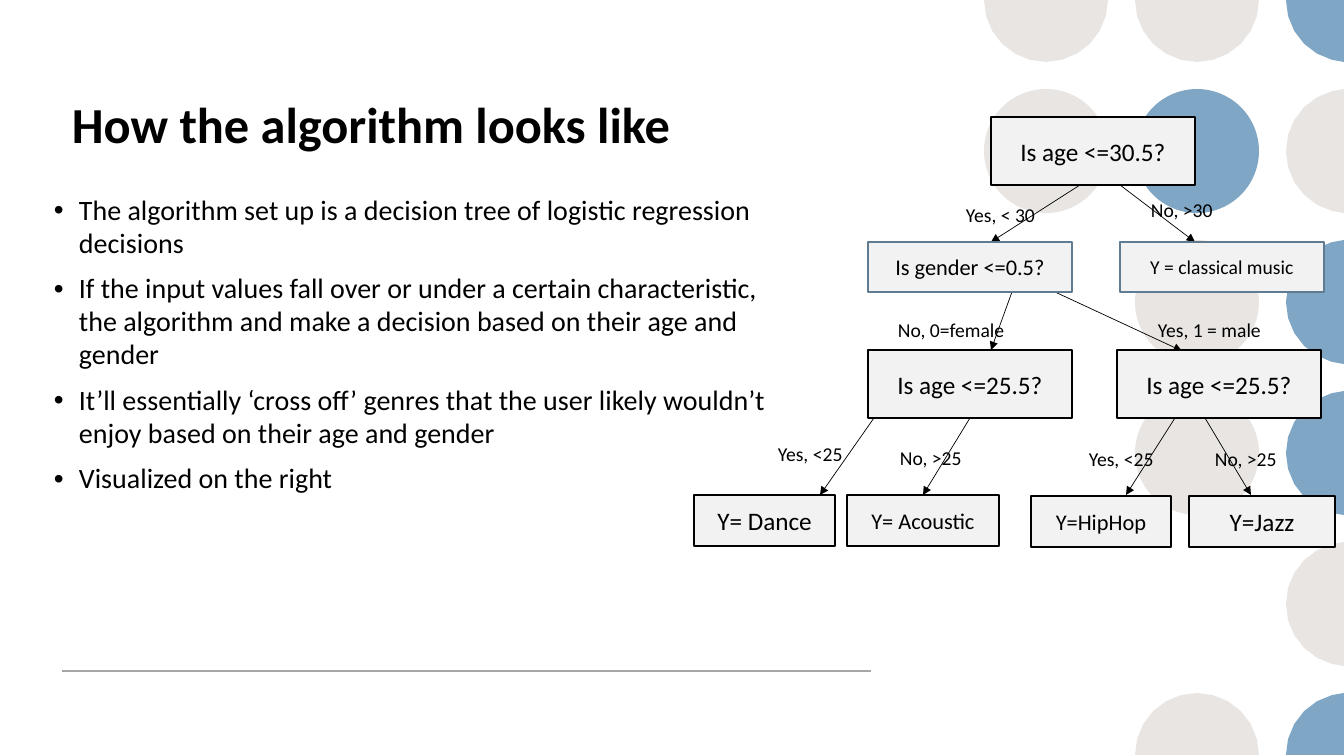
from math import cos, radians, sin

from lxml.etree import SubElement
from pptx import Presentation
from pptx.dml.color import RGBColor
from pptx.enum.shapes import MSO_CONNECTOR, MSO_SHAPE
from pptx.enum.text import MSO_ANCHOR, PP_ALIGN
from pptx.oxml.ns import qn
from pptx.util import Pt

PX = 914400 / 100.8
SLIDE_WIDTH, SLIDE_HEIGHT = 1344, 756
FONT = "Calibri"
BLACK = RGBColor(0x00, 0x00, 0x00)
BOX_FILL = RGBColor(0xF2, 0xF2, 0xF2)
STEEL = RGBColor(0x5E, 0x7B, 0x91)
RULE_GREY = RGBColor(0xA6, 0xA6, 0xA6)
DOT_GREY = RGBColor(0xE8, 0xE5, 0xE2)
DOT_BLUE = RGBColor(0x7F, 0xA6, 0xC4)

DOT_RADIUS = 62
FIRST_DOT = (1046, 0)
DOT_STEP = 151
ARC_STEP = 15
DOT_ROWS = ["GGB", "GBG", " GB", " GB", "  G", " GB"]
DOT_COLORS = {"G": DOT_GREY, "B": DOT_BLUE}

BULLETS = [
    "The algorithm set up is a decision tree of logistic regression decisions",
    "If the input values fall over or under a certain characteristic, "
    "the algorithm and make a decision based on their age and gender",
    "It’ll essentially ‘cross off’ genres that the user likely wouldn’t "
    "enjoy based on their age and gender",
    "Visualized on the right",
]

# text, left, top, width, height, font size, outline
NODES = [
    ("Is age <=30.5?", 991, 117, 204, 68, 18, BLACK),
    ("Is gender <=0.5?", 868, 242, 204, 50, 16, STEEL),
    ("Y = classical music", 1120, 242, 204, 50, 14, STEEL),
    ("Is age <=25.5?", 1117, 350, 204, 68, 18, BLACK),
    ("Is age <=25.5?", 868, 350, 204, 68, 18, BLACK),
    ("Y= Dance", 694, 495, 141, 51, 18, BLACK),
    ("Y= Acoustic", 847, 495, 152, 51, 16, BLACK),
    ("Y=HipHop", 1031, 496, 140, 51, 16, BLACK),
    ("Y=Jazz", 1189, 496, 146, 51, 18, BLACK),
]
LEFT_AGE, ACOUSTIC = 4, 6

# start x, start y, end x, end y
BRANCHES = [
    (1080, 185, 991, 242),
    (1120, 185, 1195, 242),
    (1055, 292, 1182, 351),
    (1012, 292, 991, 350),
    (874, 418, 820, 495),
    (1175, 418, 1126, 495),
    (1205, 418, 1251, 495),
]

# text, left, top, width
LABELS = [
    ("Yes, < 30", 956, 198, 116),
    ("No, >30", 1141, 193, 101),
    ("Yes, 1 = male", 1148, 313, 161),
    ("No, 0=female", 888, 313, 153),
    ("Yes, <25", 768, 437, 101),
    ("No, >25", 890, 441, 101),
    ("Yes, <25", 1079, 442, 101),
    ("No, >25", 1205, 442, 101),
]


def px(*lengths):
    return [round(length * PX) for length in lengths]


def add_dot(slide, center_x, center_y, color):
    """Draw a circle, or the half or quarter of it that fits on the slide."""
    cut_top = center_y < DOT_RADIUS
    cut_bottom = center_y + DOT_RADIUS > SLIDE_HEIGHT
    cut_right = center_x + DOT_RADIUS > SLIDE_WIDTH
    if cut_top or cut_bottom or cut_right:
        start = max(90 if cut_right else 0, 180 if cut_bottom else 0)
        end = min(270 if cut_right else 360, 180 if cut_top else 360)
        center = px(min(center_x, SLIDE_WIDTH), center_y)
        arc = []
        for degrees in range(start, end + 1, ARC_STEP):
            x = center_x + DOT_RADIUS * cos(radians(degrees))
            y = center_y + DOT_RADIUS * sin(radians(degrees))
            arc.append(px(min(x, SLIDE_WIDTH), y))
        builder = slide.shapes.build_freeform(*center)
        builder.add_line_segments(arc, close=True)
        dot = builder.convert_to_shape()
    else:
        left, top = center_x - DOT_RADIUS, center_y - DOT_RADIUS
        diameter = 2 * DOT_RADIUS
        dot = slide.shapes.add_shape(MSO_SHAPE.OVAL, *px(left, top, diameter, diameter))
    dot.shadow.inherit = False
    dot.fill.solid()
    dot.fill.fore_color.rgb = color
    dot.line.fill.background()


def add_dot_pattern(slide):
    for row, colors in enumerate(DOT_ROWS):
        for column, key in enumerate(colors):
            if key in DOT_COLORS:
                add_dot(slide, FIRST_DOT[0] + column * DOT_STEP,
                        FIRST_DOT[1] + row * DOT_STEP, DOT_COLORS[key])


def format_text(text_frame, size, bold=False):
    for paragraph in text_frame.paragraphs:
        for run in paragraph.runs:
            run.font.name = FONT
            run.font.size = Pt(size)
            run.font.bold = bold
            run.font.color.rgb = BLACK


def add_text(slide, text, left, top, width, height, size, bold=False):
    text_box = slide.shapes.add_textbox(*px(left, top, width, height))
    text_frame = text_box.text_frame
    text_frame.word_wrap = True
    text_frame.text = text
    format_text(text_frame, size, bold)
    return text_frame


def add_bullets(slide, bullets, left, top, width, height):
    text_frame = add_text(slide, "\n".join(bullets), left, top, width, height, 20)
    indent = px(25)[0]
    for paragraph in text_frame.paragraphs:
        paragraph.space_before = Pt(9)
        paragraph.line_spacing = 0.98
        properties = paragraph._p.get_or_add_pPr()
        properties.set("marL", str(indent))
        properties.set("indent", str(-indent))
        SubElement(properties, qn("a:buFont"), typeface="Arial")
        SubElement(properties, qn("a:buChar"), char="•")


def add_node(slide, text, left, top, width, height, size, outline):
    node = slide.shapes.add_shape(MSO_SHAPE.RECTANGLE, *px(left, top, width, height))
    node.shadow.inherit = False
    node.fill.solid()
    node.fill.fore_color.rgb = BOX_FILL
    node.line.color.rgb = outline
    node.line.width = Pt(1)
    text_frame = node.text_frame
    text_frame.word_wrap = True
    text_frame.vertical_anchor = MSO_ANCHOR.MIDDLE
    text_frame.text = text
    text_frame.paragraphs[0].alignment = PP_ALIGN.CENTER
    format_text(text_frame, size)
    return node


def add_line(slide, start_x, start_y, end_x, end_y, color, width):
    line = slide.shapes.add_connector(
        MSO_CONNECTOR.STRAIGHT, *px(start_x, start_y, end_x, end_y))
    line.line.color.rgb = color
    line.line.width = Pt(width)
    SubElement(line._element.spPr, qn("a:effectLst"))
    return line


def add_branch(slide, start_x, start_y, end_x, end_y):
    branch = add_line(slide, start_x, start_y, end_x, end_y, BLACK, 0.5)
    SubElement(branch.line._get_or_add_ln(), qn("a:tailEnd"), type="triangle")
    return branch


def main():
    presentation = Presentation()
    presentation.slide_width, presentation.slide_height = px(SLIDE_WIDTH, SLIDE_HEIGHT)
    slide = presentation.slides.add_slide(presentation.slide_layouts[6])

    add_dot_pattern(slide)
    add_line(slide, 62, 671, 871, 671, RULE_GREY, 1)
    add_text(slide, "How the algorithm looks like", 62, 88, 809, 137, 36, bold=True)
    add_bullets(slide, BULLETS, 44, 189, 735, 397)

    for branch in BRANCHES:
        add_branch(slide, *branch)
    nodes = [add_node(slide, *node) for node in NODES]
    acoustic_branch = add_branch(slide, 970, 418, 923, 495)
    acoustic_branch.begin_connect(nodes[LEFT_AGE], 2)
    acoustic_branch.end_connect(nodes[ACOUSTIC], 0)
    for text, left, top, width in LABELS:
        add_text(slide, text, left, top, width, 34, 14)

    presentation.save("out.pptx")


if __name__ == "__main__":
    main()
